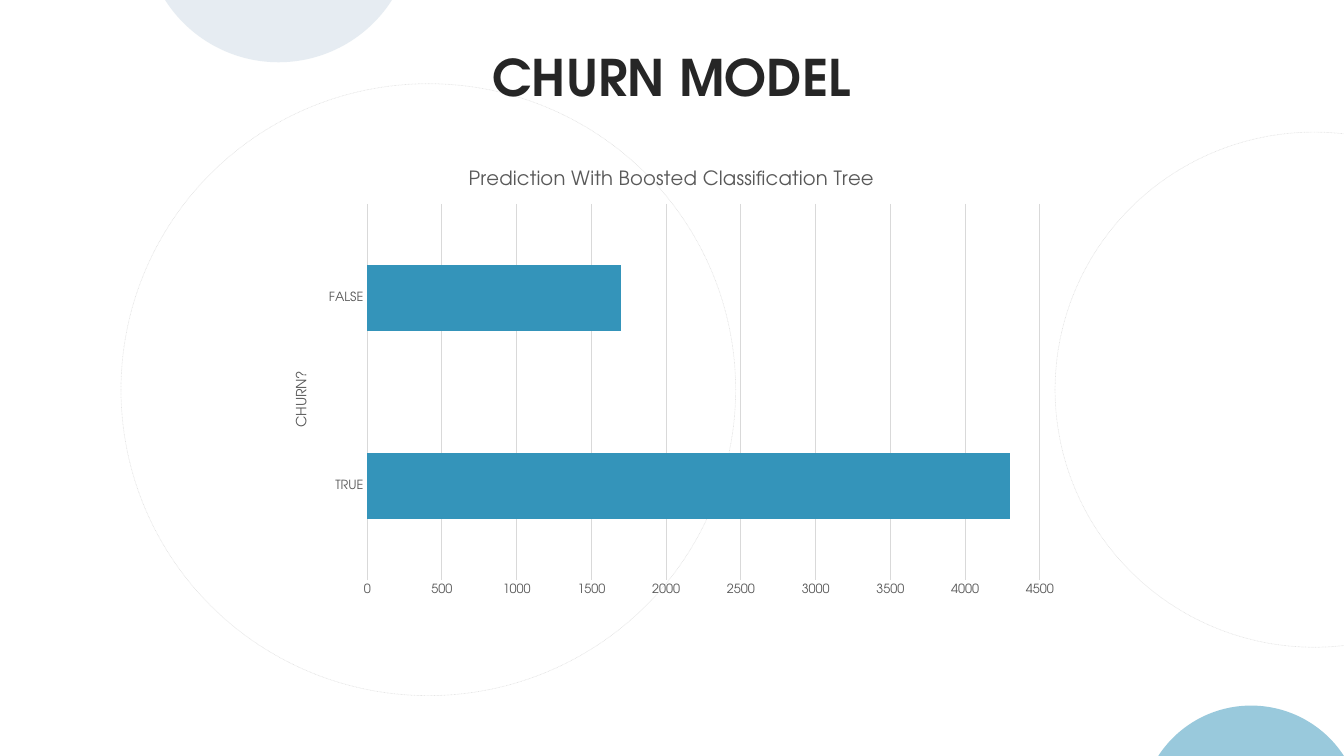
import math

from lxml import etree
from pptx import Presentation
from pptx.chart.data import CategoryChartData
from pptx.dml.color import RGBColor
from pptx.enum import chart as ch, dml, shapes, text
from pptx.oxml.ns import qn
from pptx.util import Cm, Pt

FONT = "TeX Gyre Adventor"
BLACK = RGBColor(0x00, 0x00, 0x00)
INK = RGBColor(0x26, 0x26, 0x26)
GREY = RGBColor(0x59, 0x59, 0x59)
GRID = RGBColor(0xD9, 0xD9, 0xD9)
TEAL = RGBColor(0x34, 0x94, 0xBA)
MIST = RGBColor(0xCE, 0xDB, 0xE6)
WIDTH, HEIGHT = 33.87, 19.05


def set_font(font, size, color, bold=False):
    font.name, font.size, font.bold = FONT, Pt(size), bold
    font.color.rgb = color


def set_alpha(sp, percent):
    """Make the first solid colour of a shape see-through."""
    color = next(sp.element.spPr.iter(qn("a:srgbClr")))
    etree.SubElement(color, qn("a:alpha"), val=str(percent * 1000))


def add_ring(s, left, top, width, height):
    sp = s.shapes.add_shape(shapes.MSO_SHAPE.OVAL,
                            Cm(left), Cm(top), Cm(width), Cm(height))
    sp.shadow.inherit = False
    sp.fill.background()
    sp.line.color.rgb = BLACK
    sp.line.width = Pt(0.5)
    sp.line.dash_style = dml.MSO_LINE.ROUND_DOT
    set_alpha(sp, 10)


def curve_lines(sp):
    """Turn each three line steps of an outline into one Bezier curve."""
    lines = list(sp.element.spPr.iter(qn("a:lnTo")))
    for i in range(0, len(lines) - 2, 3):
        curve = etree.Element(qn("a:cubicBezTo"))
        lines[i].addprevious(curve)
        for line in lines[i:i + 3]:
            curve.append(line[0])
            line.getparent().remove(line)


def add_cap(s, center, half, depth, edge, direction, color):
    """Circle segment standing on a slide edge; direction 1 is down, -1 up."""
    radius = (half ** 2 + depth ** 2) / (2 * depth)
    reach = math.asin(half / radius)
    handle = 4 / 3 * math.tan(reach / 4) * radius
    dx, dy = handle * math.cos(reach), handle * math.sin(reach)
    steps = [(-half, 0), (dx - half, dy), (-handle, depth), (0, depth),
             (handle, depth), (half - dx, dy), (half, 0)]
    points = [(Cm(center + x), Cm(edge + direction * y)) for x, y in steps]
    outline = s.shapes.build_freeform(*points[0])
    outline.add_line_segments(points[1:], close=True)
    sp = outline.convert_to_shape()
    curve_lines(sp)
    sp.shadow.inherit = False
    sp.fill.solid()
    sp.fill.fore_color.rgb = color
    sp.line.fill.background()
    set_alpha(sp, 50)


def add_title(s, left, top, width, height):
    title = s.shapes.title
    title.left, title.top = Cm(left), Cm(top)
    title.width, title.height = Cm(width), Cm(height)
    tf = title.text_frame
    tf.text = "CHURN MODEL"
    tf.margin_top = tf.margin_bottom = 0
    tf.vertical_anchor = text.MSO_ANCHOR.MIDDLE
    p = tf.paragraphs[0]
    p.alignment = text.PP_ALIGN.CENTER
    set_font(p.runs[0].font, 36, INK, bold=True)


def place(element, index, **fractions):
    """Give a chart part a fixed place, in fractions of the chart."""
    for old in element.findall(qn("c:layout")):
        element.remove(old)
    layout = etree.Element(qn("c:layout"))
    element.insert(index, layout)
    manual = etree.SubElement(layout, qn("c:manualLayout"))
    if "w" in fractions:
        etree.SubElement(manual, qn("c:layoutTarget"), val="inner")
    for side in "xy":
        etree.SubElement(manual, qn(f"c:{side}Mode"), val="edge")
    for name, value in fractions.items():
        etree.SubElement(manual, qn(f"c:{name}"), val=str(value))


def write_chart_title(title, wording, size, x, y):
    tf = title.text_frame
    tf.text = wording
    set_font(tf.paragraphs[0].runs[0].font, size, GREY)
    place(title.element, 1, x=x, y=y)


def add_churn_chart(s, left, top, width, height):
    data = CategoryChartData()
    data.categories = ["TRUE", "FALSE"]
    data.add_series("Series 1", [4300, 1700])
    chart = s.shapes.add_chart(ch.XL_CHART_TYPE.BAR_CLUSTERED, Cm(left), Cm(top),
                               Cm(width), Cm(height), data).chart
    set_font(chart.font, 10, BLACK)
    chart.has_legend = False
    chart.has_title = True
    write_chart_title(chart.chart_title, "Prediction With Boosted Classification Tree",
                      14, 0.24, 0.03)
    place(chart.element.find(".//" + qn("c:plotArea")), 0,
          x=0.117, y=0.116, w=0.846, h=0.83)

    plot = chart.plots[0]
    plot.gap_width = 182
    plot.vary_by_categories = False
    fill = plot.series[0].format.fill
    fill.solid()
    fill.fore_color.rgb = TEAL

    categories, values = chart.category_axis, chart.value_axis
    for axis in (categories, values):
        axis.major_tick_mark = axis.minor_tick_mark = ch.XL_TICK_MARK.NONE
        set_font(axis.tick_labels.font, 9, GREY)
    categories.has_major_gridlines = False
    values.has_major_gridlines = True
    for line in (categories.format.line, values.major_gridlines.format.line):
        line.color.rgb = GRID
        line.width = Pt(0.75)
    values.format.line.fill.background()
    values.minimum_scale, values.maximum_scale, values.major_unit = 0, 4500, 500

    axis_title = categories.axis_title
    write_chart_title(axis_title, "CHURN?", 10, 0.022, 0.48)
    body = axis_title.element.find(".//" + qn("a:bodyPr"))
    body.set("rot", "-5400000")
    body.set("vert", "horz")


def main():
    prs = Presentation()
    prs.slide_width, prs.slide_height = Cm(WIDTH), Cm(HEIGHT)
    s = prs.slides.add_slide(prs.slide_layouts[5])
    add_ring(s, 26.59, 3.33, 13.06, 12.98)
    add_ring(s, 3.05, 2.11, 15.49, 15.42)
    add_cap(s, 31.53, 2.34, 1.27, HEIGHT, -1, TEAL)
    add_cap(s, 7.02, 2.86, 1.57, 0, 1, MIST)
    add_title(s, 10, 1.09, 13.85, 1.68)
    add_churn_chart(s, 6.91, 3.81, 20.04, 11.43)
    prs.save("out.pptx")


if __name__ == "__main__":
    main()
